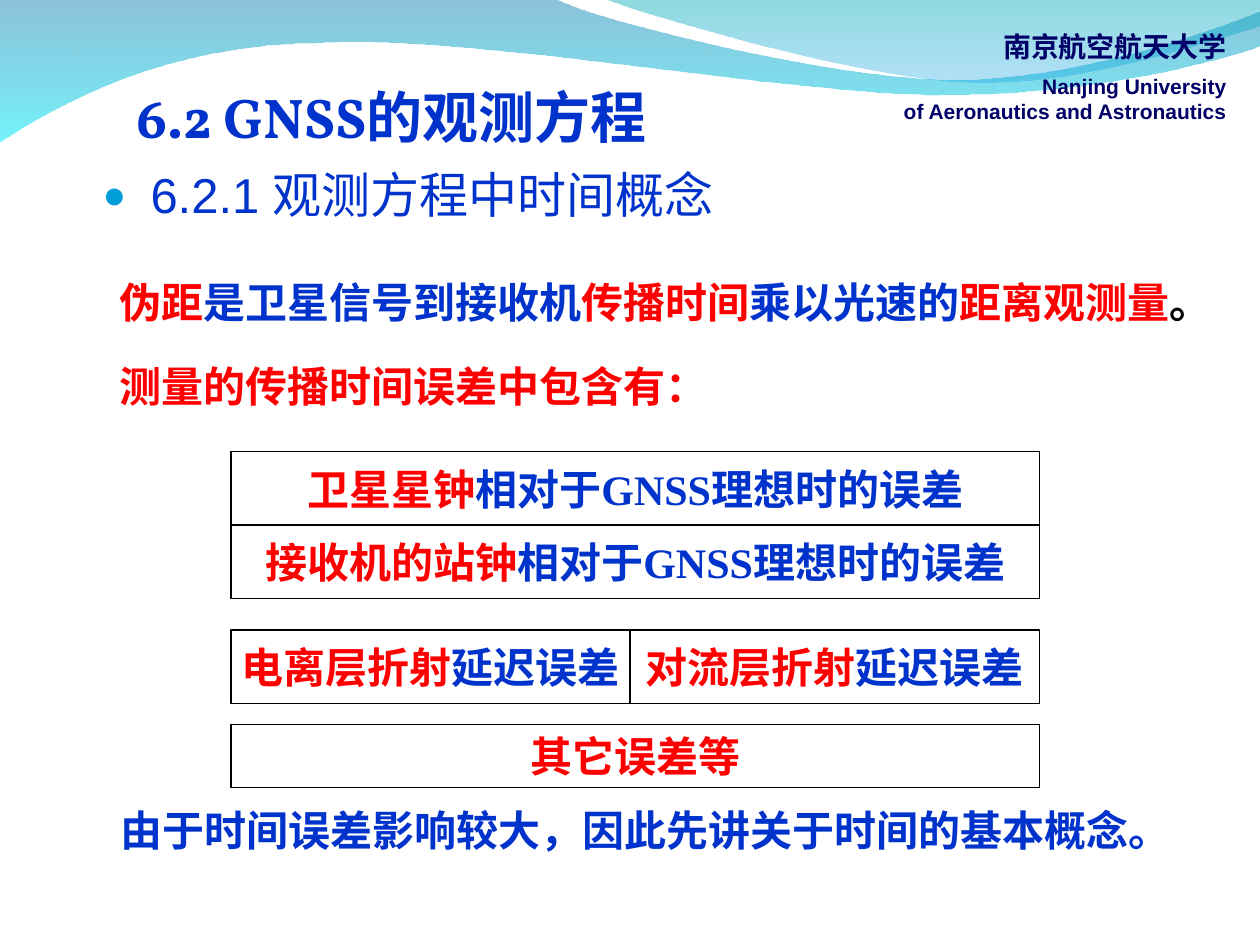
"""Build the slide on GNSS observation equations and their time errors."""
from lxml import etree
from pptx import Presentation
from pptx.dml.color import RGBColor
from pptx.enum.shapes import MSO_SHAPE
from pptx.enum.text import MSO_ANCHOR, MSO_AUTO_SIZE, PP_ALIGN
from pptx.oxml.ns import qn
from pptx.util import Inches, Pt

RECTANGLE = MSO_SHAPE.RECTANGLE
MIDDLE, TOP = MSO_ANCHOR.MIDDLE, MSO_ANCHOR.TOP
FIT, FIXED = MSO_AUTO_SIZE.SHAPE_TO_FIT_TEXT, MSO_AUTO_SIZE.NONE
LEFT, CENTER, RIGHT = PP_ALIGN.LEFT, PP_ALIGN.CENTER, PP_ALIGN.RIGHT
BLUE, RED, NAVY, BLACK, WHITE = "0033CC", "FF0000", "000066", "000000", "FFFFFF"

deck = Presentation()
deck.slide_width, deck.slide_height = Inches(10), Inches(7.5)
page = deck.slides.add_slide(deck.slide_layouts[6])
CELL = deck.slide_width / 120


def color(value):
    return RGBColor.from_string(value)


def write(para, spans, align=LEFT, name="Times New Roman", size=24, bold=True):
    para.alignment = align
    for text, tint in spans:
        span = para.add_run()
        span.text = text
        for key, value in {"name": name, "size": Pt(size), "bold": bold}.items():
            setattr(span.font, key, value)
        span.font.color.rgb = color(tint)


waves = [
    ((0, -0.01), [
        [(4.4, -0.01)],
        [(4.76, 0.17), (6.64, 0.63), (7.58, 0.63)],
        [(8.53, 0.63), (9.58, 0.26), (10, 0.09)],
        [(10.01, 0.36)],
        [(9.83, 0.44), (8.7, 0.76), (7.46, 0.75)],
        [(6.22, 0.75), (3.82, 0.28), (2.57, 0.34)],
        [(1.29, 0.35), (0.46, 0.83), (-0.01, 1.13)],
        [(0, -0.01)],
    ], [("0079AF", 45), ("00EBF8", 55)]),
    ((4.79, -0.01), [
        [(5.09, 0.11), (6.82, 0.62), (7.69, 0.65)],
        [(8.56, 0.69), (9.61, 0.32), (10, 0.21)],
        [(10, 0)],
        [(4.79, -0.01)],
    ], [("00ADB6", 45), ("009BE5", 30)]),
]
for start, segments, stops in waves:
    builder = page.shapes.build_freeform(*(Inches(n) for n in start))
    corners = [(Inches(x), Inches(y)) for segment in segments for x, y in segment]
    builder.add_line_segments(corners, close=True)
    wave = builder.convert_to_shape()
    lines = iter(wave._element.xpath(".//a:lnTo"))
    for segment in segments:
        group = [next(lines) for _ in segment]
        if len(group) == 3:
            curve = etree.Element(qn("a:cubicBezTo"))
            group[0].addprevious(curve)
            for line in group:
                curve.append(line[0])
                line.getparent().remove(line)
    wave.shadow.inherit = False
    wave.line.fill.background()
    wave.fill.gradient()
    wave.fill.gradient_angle = 270
    for stop, (tint, _) in zip(wave.fill.gradient_stops, stops):
        stop.color.rgb = color(tint)
    for node, (_, opacity) in zip(wave._element.xpath(".//a:gs/a:srgbClr"), stops):
        etree.SubElement(node, qn("a:alpha")).set("val", str(opacity * 1000))

school = {"name": "Arial", "align": RIGHT}
texts = [
    ((84.8, 2.2, 33.2, 10.2), False, [
        ([("南京航空航天大学", NAVY)], {**school, "size": 16}),
        ([("Nanjing University", NAVY)], {**school, "size": 12}),
        ([("of Aeronautics and Astronautics", NAVY)], {**school, "size": 12})]),
    ((11.8, 7.3, 99, 7.4), True, [
        ([("6.2 GNSS的观测方程", BLUE)], {"name": "Vollkorn", "size": 32})]),
    ((8.6, 15.7, 65.5, 6.6), True, [
        ([("6.2.1 观测方程中时间概念", BLUE)],
         {"name": "Arial", "size": 28, "bold": False})]),
    ((10.2, 25.7, 106.3, 6), False, [
        ([("伪距", RED), ("是卫星信号到接收机", BLUE), ("传播时间", RED),
          ("乘以光速的", BLUE), ("距离观测量", RED), ("。", BLACK)], {})]),
    ((10.2, 33.7, 58.3, 6), False, [
        ([("测量的传播时间误差中包含有：", RED)], {})]),
    ((10.3, 76, 102.4, 6), False, [
        ([("由于时间误差影响较大，因此先讲关于时间的基本概念。", BLUE)], {})]),
]
frames = []
for place, wrap, paras in texts:
    frame = page.shapes.add_textbox(*(round(n * CELL) for n in place)).text_frame
    frames.append(frame)
    settings = {"word_wrap": wrap, "auto_size": FIXED if wrap else FIT,
                "vertical_anchor": TOP}
    for key, value in settings.items():
        setattr(frame, key, value)
    for index, (spans, style) in enumerate(paras):
        para = frame.add_paragraph() if index else frame.paragraphs[0]
        write(para, spans, **style)
frames[0].paragraphs[0].space_after = Pt(6)

heading = frames[2].paragraphs[0]
heading.line_spacing = 0.9
layout = heading._p.get_or_add_pPr()
layout.set("marL", str(Inches(0.38)))
layout.set("indent", str(-Inches(0.38)))
tint = etree.SubElement(layout, qn("a:buClr"))
etree.SubElement(tint, qn("a:srgbClr")).set("val", "009DD9")
for tag, key, value in (("a:buSzPct", "val", "80000"),
                        ("a:buFont", "typeface", "Arial"),
                        ("a:buChar", "char", "●")):
    etree.SubElement(layout, qn(tag)).set(key, value)

clock, delay = "相对于GNSS理想时的误差", "延迟误差"
errors = [
    ((22, 43, 77, 7), "卫星星钟", clock),
    ((22, 50, 77, 7), "接收机的站钟", clock),
    ((22, 60, 38, 7), "电离层折射", delay),
    ((60, 60, 39, 7), "对流层折射", delay),
    ((22, 69, 77, 6), "其它误差等", ""),
]
for place, source, effect in errors:
    box = page.shapes.add_shape(RECTANGLE, *(round(n * CELL) for n in place))
    box.shadow.inherit = False
    box.fill.solid()
    box.fill.fore_color.rgb = color(WHITE)
    box.line.color.rgb = color(BLACK)
    box.line.width = Pt(0.75)
    for key, value in {"word_wrap": False, "vertical_anchor": MIDDLE}.items():
        setattr(box.text_frame, key, value)
    spans = [(source, RED), (effect, BLUE)] if effect else [(source, RED)]
    write(box.text_frame.paragraphs[0], spans, CENTER)

deck.save("out.pptx")
